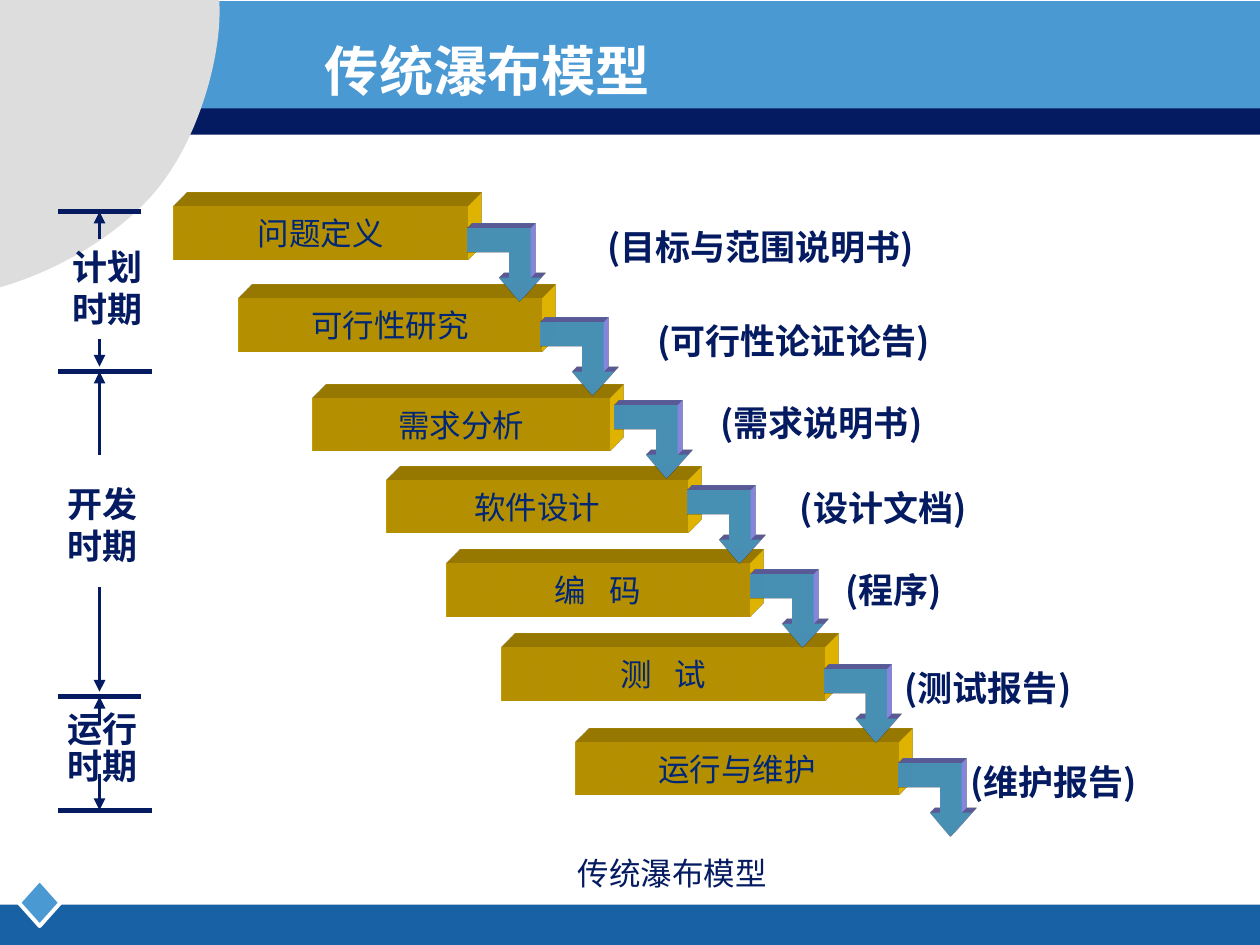
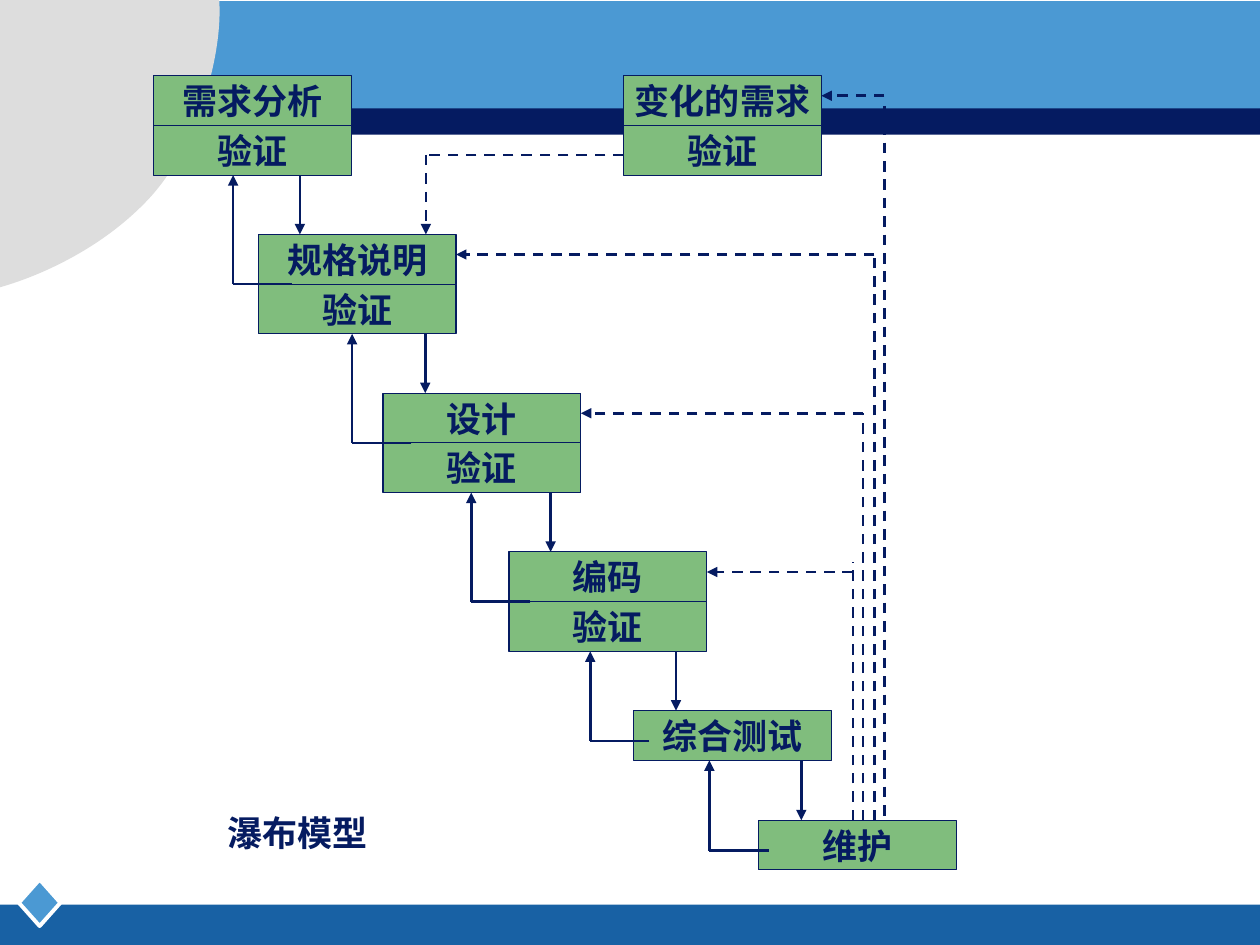
from itertools import pairwise
from lxml import etree
from pptx import Presentation
from pptx.dml.color import RGBColor
from pptx.enum.dml import MSO_LINE
from pptx.enum.shapes import MSO_CONNECTOR, MSO_SHAPE
from pptx.enum.text import MSO_ANCHOR, PP_ALIGN
from pptx.oxml.ns import qn
from pptx.util import Inches, Pt

RECT, DIAMOND = MSO_SHAPE.RECTANGLE, MSO_SHAPE.DIAMOND
STRAIGHT, DASH = MSO_CONNECTOR.STRAIGHT, MSO_LINE.DASH
TOP, MIDDLE = MSO_ANCHOR.TOP, MSO_ANCHOR.MIDDLE
LEFT, CENTER = PP_ALIGN.LEFT, PP_ALIGN.CENTER

W, H = 10, 7.5
C = {"navy": "051B61", "sky": "4B99D3", "footer": "1861A4", "grey": "DDDDDD",
     "white": "FFFFFF", "ink": "002776", "green": "80BD7D",
     "gold": "FFCC00", "aqua": "66CCFF", "violet": "9999FF"}
SERIF, SC, KR, JP = ("Times New Roman", "Noto Sans CJK SC",
                     "Noto Sans CJK KR", "Noto Sans CJK JP")
EAST_ASIAN = {SERIF: SC}

# name, left, top, width, arrow left, arrow top, document, document left, top, width
STAGES = [
    ("问题定义", 1.38, 1.64, 2.33, 3.71, 1.81, "(目标与范围说明书)", 4.72, 1.74, 2.75),
    ("可行性研究", 1.89, 2.37, 2.41, 4.29, 2.56, "(可行性论证论告)", 5.12, 2.49, 2.75),
    ("需求分析", 2.48, 3.16, 2.36, 4.88, 3.22, "(需求说明书)", 5.62, 3.14, 2.42),
    ("软件设计", 3.07, 3.81, 2.39, 5.46, 3.89, "(设计文档)", 6.25, 3.81, 2.42),
    ("编 码", 3.54, 4.47, 2.41, 5.96, 4.56, "(程序)", 6.61, 4.46, 2.42),
    ("测 试", 3.98, 5.14, 2.57, 6.54, 5.31, "(测试报告)", 7.08, 5.24, 2.42),
    ("运行与维护", 4.57, 5.89, 2.56, 7.13, 6.06, "(维护报告)", 7.6, 5.99, 2.12),
]
STAGE_H, STAGE_DEPTH, ARROW_DEPTH = 0.42, 0.31, 0.11
ARROW = [(0.41, 0.58), (0.25, 0.39), (0.33, 0.39), (0.33, 0.19), (0, 0.19),
         (0, 0), (0.5, 0), (0.5, 0.39), (0.58, 0.39)]

PERIODS = [(["计划时期"], 0.48, 1.9, 0.92, 0.77, 1),
           (["开发", "时期"], 0.44, 3.78, 1.12, 0.77, 1),
           (["运行", "时期"], 0.44, 5.6, 1.12, 0.7, 0.9)]
PERIOD_X, AXIS_X = 0.46, 0.79
BARS = [(1.68, 1.12), (2.95, 1.21), (5.53, 1.12), (6.43, 1.21)]
SPANS = [(1.9, 1.68), (2.69, 2.91), (3.61, 2.95), (4.66, 5.49), (5.75, 5.53), (6.14, 6.43)]

CELL_W, CELL_H = 1.57, 0.79 / 2
STEPS = [(1.22, 0.6, ["需求分析", "验证"]), (2.05, 1.86, ["规格说明", "验证"]),
         (3.04, 3.12, ["设计", "验证"]), (4.04, 4.38, ["编码", "验证"]),
         (5.03, 5.64, ["综合测试"]), (6.02, 6.51, ["维护"])]
CHANGE = (4.95, 0.6, ["变化的需求", "验证"])
RAILS = [(7.02, 0.84), (6.94, 2.02), (6.85, 3.28), (6.77, 4.46)]


def add_runs(tf, lines, size, font, color, bold=False, align=LEFT, spacing=None):
    for i, line in enumerate(lines):
        p = tf.paragraphs[0] if i == 0 else tf.add_paragraph()
        p.alignment = align
        if spacing:
            p.line_spacing = spacing
        for text in filter(None, line.partition(" ")):
            r = p.add_run()
            r.text = text
            r.font.size, r.font.bold, r.font.name = Pt(size), bold, font
            r.font.color.rgb = RGBColor.from_string(color)
            ea = etree.SubElement(r.font._element, qn("a:ea"))
            ea.set("typeface", EAST_ASIAN.get(font, font))
            if text == " ":
                r.font._element.set("spc", "900")


def add_text(s, box, lines, size, font, color=C["navy"], bold=True, align=LEFT,
             anchor=TOP, spacing=None):
    tf = s.shapes.add_textbox(*map(Inches, box)).text_frame
    tf.word_wrap, tf.vertical_anchor = True, anchor
    add_runs(tf, lines, size, font, color, bold, align, spacing)


def paint(sp, fill, line=None, width=1):
    sp.shadow.inherit = False
    sp.fill.solid()
    sp.fill.fore_color.rgb = RGBColor.from_string(fill)
    if line:
        sp.line.color.rgb = RGBColor.from_string(line)
        sp.line.width = Pt(width)
    else:
        sp.line.fill.background()
    return sp


def add_box(s, box, fill, line=None, width=1, kind=RECT):
    return paint(s.shapes.add_shape(kind, *map(Inches, box)), fill, line, width)


def label(sp, text, size, font, color, bold=False, side=0.1):
    tf = sp.text_frame
    tf.word_wrap, tf.vertical_anchor = False, MIDDLE
    tf.margin_left = tf.margin_right = Inches(side)
    add_runs(tf, [text], size, font, color, bold, CENTER)


def add_polygon(s, points, fill):
    pts = [(Inches(x), Inches(y)) for x, y in points]
    fb = s.shapes.build_freeform(*pts[0])
    fb.add_line_segments(pts[1:], close=True)
    return paint(fb.convert_to_shape(), fill)


def extrude(sp, depth, color):
    scene = etree.SubElement(sp._element.spPr, qn("a:scene3d"))
    etree.SubElement(scene, qn("a:camera")).set("prst", "legacyObliqueTopRight")
    etree.SubElement(scene, qn("a:lightRig"), rig="legacyFlat3", dir="b")
    solid = etree.SubElement(sp._element.spPr, qn("a:sp3d"),
                             extrusionH=str(Inches(depth)), prstMaterial="legacyMatte")
    for bevel in ("a:bevelT", "a:bevelB"):
        etree.SubElement(solid, qn(bevel), w="13500", h="13500", prst="angle")
    clr = etree.SubElement(solid, qn("a:extrusionClr"))
    etree.SubElement(clr, qn("a:srgbClr")).set("val", color)


def curve(sp, segment, controls):
    line = list(sp._element.iter(qn("a:lnTo")))[0]
    cubic = etree.Element(qn("a:cubicBezTo"))
    for x, y in controls:
        etree.SubElement(cubic, qn("a:pt"), x=str(Inches(x)), y=str(Inches(y)))
    cubic.append(line[0])
    line.getparent().replace(line, cubic)


def add_line(s, start, end, width=1.5, arrow=False, dash=False):
    cx = s.shapes.add_connector(STRAIGHT, *map(Inches, start + end))
    cx.line.color.rgb = RGBColor.from_string(C["navy"])
    cx.line.width = Pt(width)
    if dash:
        cx.line.dash_style = DASH
    if arrow:
        etree.SubElement(cx.line._get_or_add_ln(), qn("a:tailEnd")).set("type", "triangle")
    etree.SubElement(cx._element.spPr, qn("a:effectLst"))


def new_slide(prs):
    s = prs.slides.add_slide(prs.slide_layouts[6])
    add_box(s, (0, 7.18, W, 0.33), C["footer"])
    add_box(s, (0.15, 6.98, 0.33, 0.37), C["sky"], C["white"], 2.25, DIAMOND)
    add_box(s, (0, 0.76, W, 0.31), C["navy"])
    add_box(s, (0.03, 0.01, W - 0.03, 0.85), C["sky"])
    disc = add_polygon(s, [(1.74, 0), (1.17, 1.59), (0, 2.28), (0, 0)], C["grey"])
    for i, controls in enumerate([[(1.77, 0.43), (1.57, 1.17)], [(0.77, 2.01), (0.25, 2.21)]]):
        curve(disc, i, controls)
    return s


def build_stages(prs):
    s = new_slide(prs)
    add_text(s, (2.48, 0.09, 4.25, 0.92), ["传统瀑布模型"], 31, JP, C["white"], anchor=MIDDLE)
    for name, x, y, w, *_ in STAGES:
        sp = add_box(s, (x, y, w, STAGE_H), C["gold"])
        extrude(sp, STAGE_DEPTH, C["gold"])
        label(sp, name, 18, SERIF, C["ink"])
    for *_, ax, ay, doc, dx, dy, dw in STAGES:
        sp = add_polygon(s, [(ax + px, ay + py) for px, py in ARROW], C["aqua"])
        extrude(sp, ARROW_DEPTH, C["violet"])
        add_text(s, (dx, dy, dw, 0.43), [doc], 20, SC)
    for lines, x, y, w, h, spacing in PERIODS:
        add_text(s, (x, y, w, h), lines, 20, SERIF, spacing=spacing)
    for y, right in BARS:
        add_line(s, (right, y), (PERIOD_X, y), 3)
    for y1, y2 in SPANS:
        add_line(s, (AXIS_X, y1), (AXIS_X, y2), 2.25, arrow=True)
    add_text(s, (3.98, 6.73, 2.71, 0.4), ["传统瀑布模型"], 18, SERIF, bold=False, align=CENTER)


def build_feedback(prs):
    s = new_slide(prs)
    for x, y, cells in STEPS + [CHANGE]:
        for i, text in enumerate(cells):
            sp = add_box(s, (x, y + i * CELL_H, CELL_W, CELL_H), C["green"], C["navy"], 0.63)
            label(sp, text, 20, KR, C["navy"], True, 0)
    for i, ((_, y, cells), (_, below, nxt)) in enumerate(pairwise(STEPS)):
        bottom = y + len(cells) * CELL_H
        down, back = 2.38 + 0.995 * i, 1.85 + 0.945 * i
        level = below + (CELL_H if len(nxt) > 1 else 0.24)
        add_line(s, (down, bottom), (down, below), arrow=True)
        add_line(s, (back + 0.47, level), (back, level))
        add_line(s, (back, level), (back, bottom), arrow=True)
    base = STEPS[-1][1]
    for (rail, top), (x, y, _) in zip(RAILS, [CHANGE] + STEPS[1:4]):
        ends = [(rail, base), (rail, top)]
        add_line(s, *(sorted(ends) if y == CHANGE[1] else ends), dash=True)
        add_line(s, (rail, y + 0.16), (x + CELL_W, y + 0.16), arrow=True, dash=True)
    add_line(s, (CHANGE[0], 1.23), (3.38, 1.23), dash=True)
    add_line(s, (3.38, 1.23), (3.38, STEPS[1][1]), arrow=True, dash=True)
    add_text(s, (1.71, 6.39, 1.71, 0.43), ["瀑布模型"], 20, KR)


def main():
    """Build the two waterfall model slides."""
    prs = Presentation()
    prs.slide_width, prs.slide_height = Inches(W), Inches(H)
    build_stages(prs)
    build_feedback(prs)
    prs.save("out.pptx")


if __name__ == "__main__":
    main()
